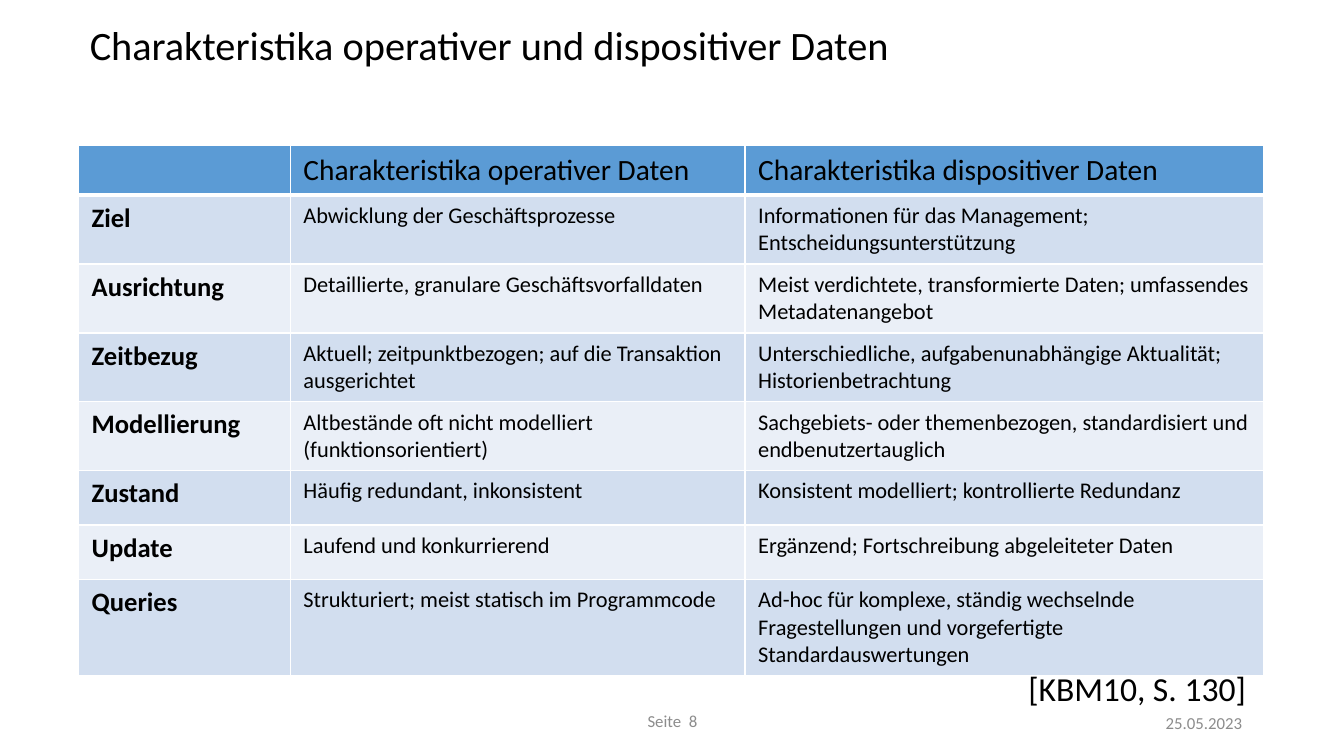
from lxml import etree
from pptx import Presentation
from pptx.dml.color import RGBColor
from pptx.enum.text import MSO_ANCHOR, PP_ALIGN
from pptx.oxml.ns import qn
from pptx.util import Inches, Pt

LEFT, CENTER, RIGHT = PP_ALIGN.LEFT, PP_ALIGN.CENTER, PP_ALIGN.RIGHT
TOP, MIDDLE = MSO_ANCHOR.TOP, MSO_ANCHOR.MIDDLE

FONT = "Calibri"
BLACK, GRAY, WHITE = "000000", "8C8C8C", "FFFFFF"
HEAD, BANDS = "5B9BD5", ("D2DEEF", "EAEFF7")

COLS = (2.1, 4.51, 5.14)
HEIGHTS = (0.49, 0.67, 0.67, 0.67, 0.67, 0.54, 0.54, 0.93)
ROWS = (
    ("", "Charakteristika operativer Daten", "Charakteristika dispositiver Daten"),
    ("Ziel", "Abwicklung der Geschäftsprozesse",
     "Informationen für das Management; Entscheidungsunterstützung"),
    ("Ausrichtung", "Detaillierte, granulare Geschäftsvorfalldaten",
     "Meist verdichtete, transformierte Daten; umfassendes Metadatenangebot"),
    ("Zeitbezug", "Aktuell; zeitpunktbezogen; auf die Transaktion ausgerichtet",
     "Unterschiedliche, aufgabenunabhängige Aktualität; Historienbetrachtung"),
    ("Modellierung", "Altbestände oft nicht modelliert (funktionsorientiert)",
     "Sachgebiets- oder themenbezogen, standardisiert und endbenutzertauglich"),
    ("Zustand", "Häufig redundant, inkonsistent",
     "Konsistent modelliert; kontrollierte Redundanz"),
    ("Update", "Laufend und konkurrierend",
     "Ergänzend; Fortschreibung abgeleiteter Daten"),
    ("Queries", "Strukturiert; meist statisch im Programmcode",
     "Ad-hoc für komplexe, ständig wechselnde Fragestellungen und "
     "vorgefertigte Standardauswertungen"),
)


def color(code):
    return RGBColor.from_string(code)


def write(frame, text, size, code=BLACK, bold=False, align=LEFT, space=None):
    para = frame.paragraphs[0]
    para.alignment = align
    if space:
        para.line_spacing = space
    run = para.add_run()
    run.text = text
    run.font.name = FONT
    run.font.size = Pt(size)
    run.font.bold = bold
    run.font.color.rgb = color(code)


def add_title(slide, text):
    title = slide.shapes.title
    title.left, title.top = Inches(0.79), Inches(0.18)
    title.width, title.height = Inches(11.79), Inches(0.58)
    title.text_frame.vertical_anchor = MIDDLE
    write(title.text_frame, text, 28.8, space=0.9)


def add_label(slide, box, text, size, code, anchor=MIDDLE, wrap=True, **style):
    frame = slide.shapes.add_textbox(*map(Inches, box)).text_frame
    frame.word_wrap = wrap
    frame.vertical_anchor = anchor
    write(frame, text, size, code, **style)


def add_edge(cell, side, width):
    props = cell._tc.get_or_add_tcPr()
    line = etree.SubElement(props, qn("a:ln" + side), w=str(Pt(width)))
    fill = etree.SubElement(line, qn("a:solidFill"))
    etree.SubElement(fill, qn("a:srgbClr"), val=WHITE)


def fill_cell(cell, text, row, col):
    cell.margin_left = cell.margin_right = Inches(0.13)
    cell.margin_top = cell.margin_bottom = Inches(0.07)
    for side in "LRTB":
        add_edge(cell, side, 3 if row == 0 and side == "B" else 1)
    cell.fill.solid()
    cell.fill.fore_color.rgb = color(BANDS[(row - 1) % 2] if row else HEAD)
    size = 21 if row == 0 else 19 if col == 0 else 16
    if text:
        write(cell.text_frame, text, size, bold=row > 0 and col == 0)


def add_grid(slide):
    box = (0.78, 1.44, sum(COLS), sum(HEIGHTS))
    table = slide.shapes.add_table(len(ROWS), len(COLS), *map(Inches, box)).table
    for col, width in zip(table.columns, COLS):
        col.width = Inches(width)
    for row, height in zip(table.rows, HEIGHTS):
        row.height = Inches(height)
    for r, texts in enumerate(ROWS):
        for c, text in enumerate(texts):
            fill_cell(table.cell(r, c), text, r, c)


def main():
    deck = Presentation()
    deck.slide_width, deck.slide_height = Inches(13.33), Inches(7.5)
    slide = deck.slides.add_slide(deck.slide_layouts.get_by_name("Title Only"))

    # Title and comparison table
    add_title(slide, "Charakteristika operativer und dispositiver Daten")
    add_grid(slide)

    # Footer and citation
    add_label(slide, (4.42, 6.95, 4.5, 0.4), "Seite  8", 12, GRAY, align=CENTER)
    add_label(slide, (10.1, 6.58, 2.38, 0.5), "[KBM10, S. 130]", 24, BLACK,
              anchor=TOP, wrap=False)
    add_label(slide, (9.42, 6.95, 3, 0.4), "25.05.2023", 12, GRAY,
              align=RIGHT, space=1.2)

    deck.save("out.pptx")


if __name__ == "__main__":
    main()
